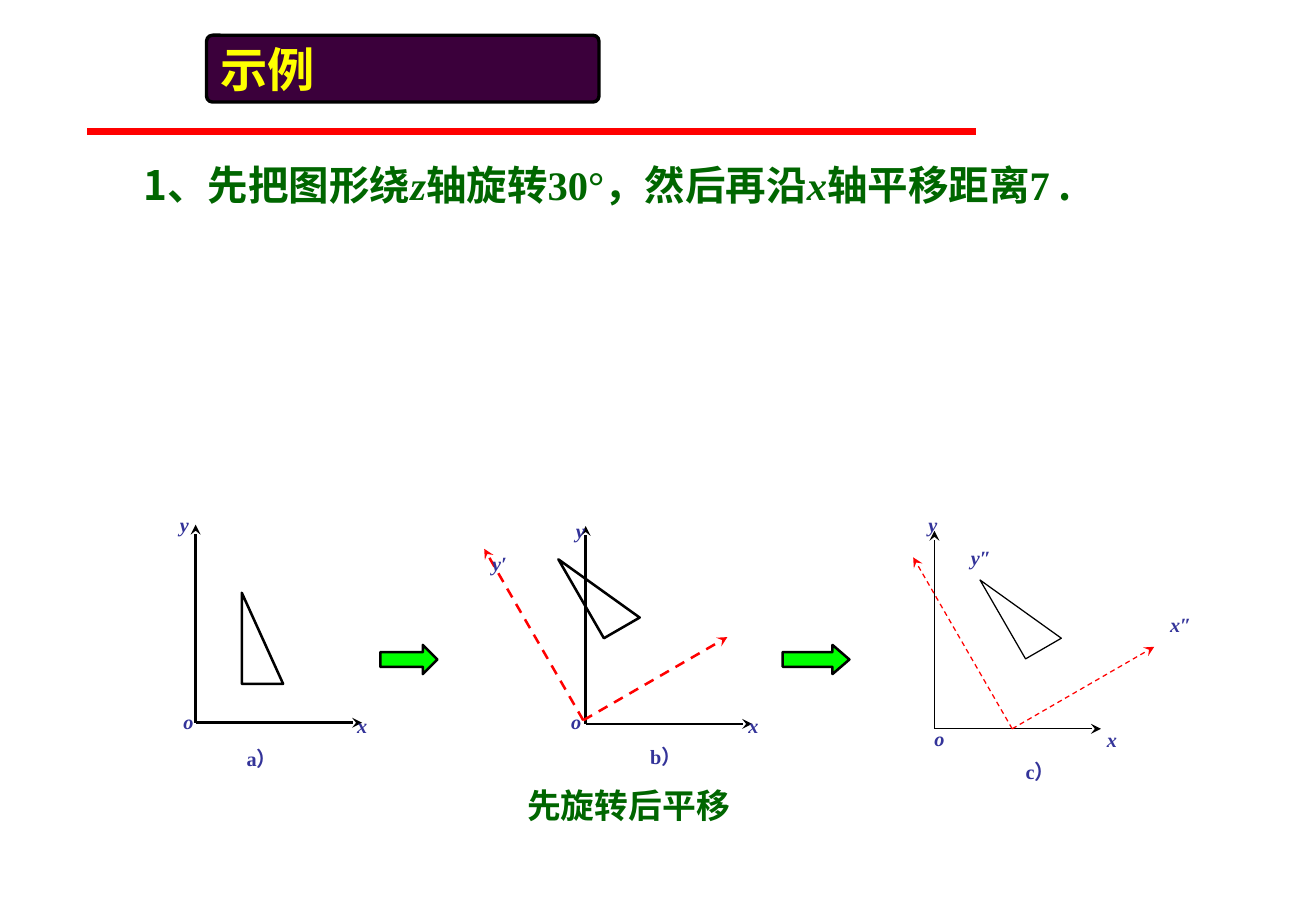
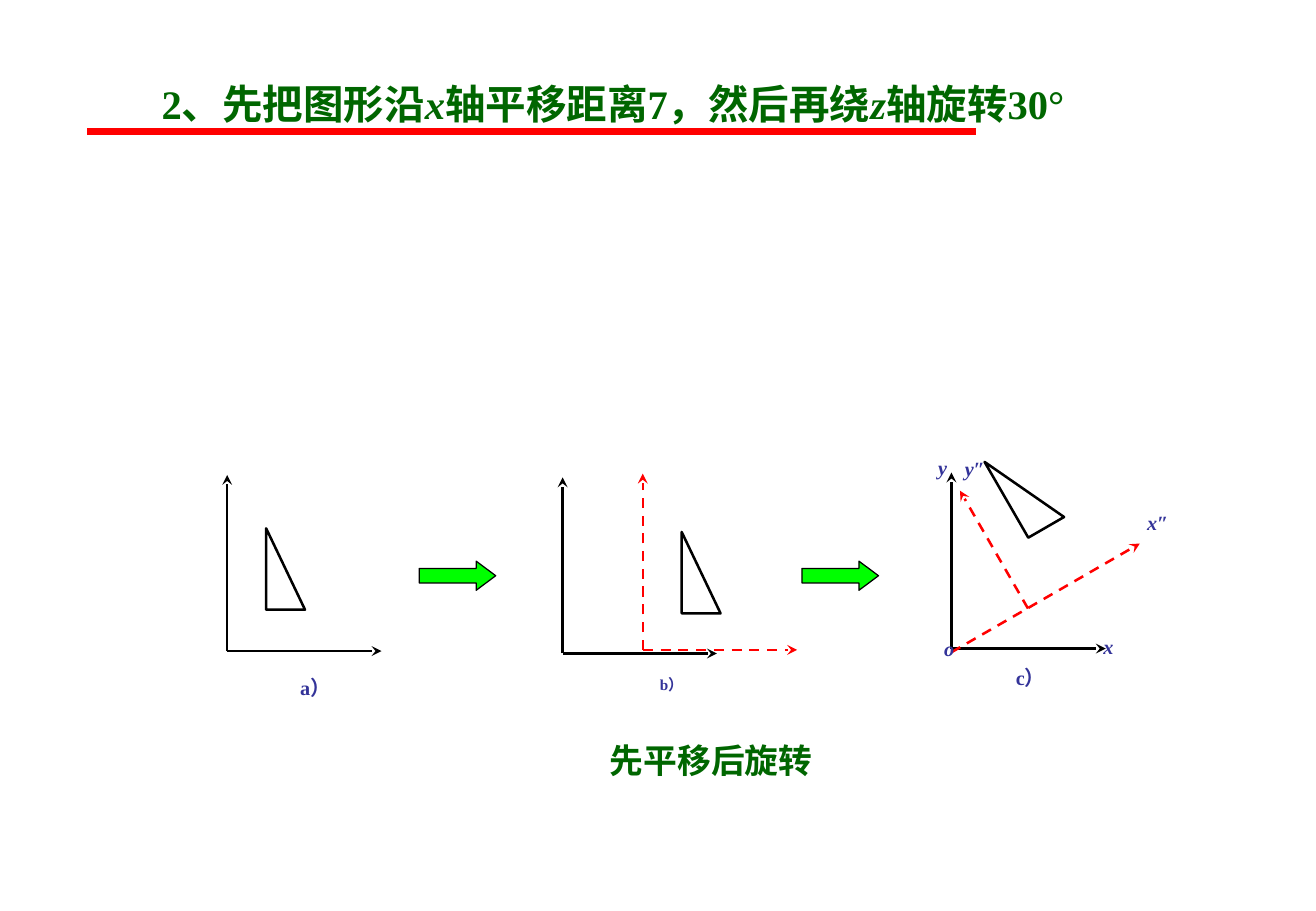
from math import cos, radians, sin

from lxml.etree import SubElement
from pptx import Presentation
from pptx.dml.color import RGBColor
from pptx.enum.dml import MSO_LINE
from pptx.enum.shapes import MSO_CONNECTOR, MSO_SHAPE
from pptx.enum.text import MSO_ANCHOR, PP_ALIGN
from pptx.oxml.ns import qn
from pptx.util import Inches, Pt

SANS, SERIF = "Noto Sans CJK SC", "Times New Roman"
BLACK, RED, LIME = "000000", "FF0000", "00FF00"
GREEN, INDIGO, PURPLE, YELLOW = "006600", "333399", "3B003B", "FFFF00"


def rgb(color):
    return RGBColor.from_string(color)


def style_paragraph(paragraph, size, color, font_name=SANS, italic=False):
    font = paragraph.font
    font.size, font.bold, font.italic = Pt(size), True, italic
    font.color.rgb = rgb(color)
    font.name = font_name
    defaults = paragraph._p.pPr.find(qn("a:defRPr"))
    SubElement(defaults, qn("a:ea")).set("typeface", SANS)


def style_shape(shape, fill, width):
    """Give a shape a flat fill (None for no fill) and a black outline."""
    shape.shadow.inherit = False
    if fill:
        shape.fill.solid()
        shape.fill.fore_color.rgb = rgb(fill)
    else:
        shape.fill.background()
    shape.line.color.rgb = rgb(BLACK)
    shape.line.width = Pt(width)


def add_line(slide, start, end, color, width):
    line = slide.shapes.add_connector(
        MSO_CONNECTOR.STRAIGHT, *(Inches(value) for value in (*start, *end)))
    line.line.color.rgb = rgb(color)
    line.line.width = Pt(width)
    SubElement(line.element.spPr, qn("a:effectLst"))
    return line


def add_axis(slide, start, length, angle, width, moved=False):
    """Draw an axis; the angle is in degrees, counterclockwise from the right."""
    x, y = start
    end = (x + length * cos(radians(angle)), y - length * sin(radians(angle)))
    axis = add_line(slide, start, end, RED if moved else BLACK, width)
    if moved:
        axis.line.dash_style = MSO_LINE.DASH
    SubElement(axis.line._get_or_add_ln(), qn("a:tailEnd")).set("type", "stealth")


def add_triangle(slide, left, top, size, angle, width):
    """Draw a right triangle turned counterclockwise about the middle of its box."""
    half_width, half_height = size[0] / 2, size[1] / 2
    cosine, sine = cos(radians(angle)), sin(radians(angle))
    corners = [(-half_width, -half_height), (-half_width, half_height),
               (half_width, half_height)]
    points = [(Inches(left + half_width + x * cosine + y * sine),
               Inches(top + half_height - x * sine + y * cosine))
              for x, y in corners]
    builder = slide.shapes.build_freeform(*points[0])
    builder.add_line_segments(points[1:], close=True)
    style_shape(builder.convert_to_shape(), None, width)


def add_label(slide, left, top, text, size=12):
    is_caption = text.endswith("）")
    box_width = 0.5 if is_caption else 0.13 * len(text)
    box = slide.shapes.add_textbox(
        Inches(left), Inches(top), Inches(box_width), Inches(0.3))
    frame = box.text_frame
    frame.word_wrap = True
    frame.margin_left = frame.margin_right = frame.margin_top = frame.margin_bottom = 0
    frame.text = text
    style_paragraph(frame.paragraphs[0], size, INDIGO, SERIF, not is_caption)


def add_panel(slide, origin, axis_lengths, triangle_size, triangle, labels,
              moved_axes=(), width=1.5):
    """Draw one coordinate system; all parts are offsets from its origin."""
    x, y = origin
    for length, angle in zip(axis_lengths, (0, 90)):
        add_axis(slide, origin, length, angle, width)
    for dx, dy, length, angle in moved_axes:
        add_axis(slide, (x + dx, y + dy), length, angle, width, moved=True)
    dx, dy, angle = triangle
    add_triangle(slide, x + dx, y + dy, triangle_size, angle, width)
    for dx, dy, *label in labels:
        add_label(slide, x + dx, y + dy, *label)


def add_block_arrow(slide, left, top, length, head, width):
    arrow = slide.shapes.add_shape(
        MSO_SHAPE.RIGHT_ARROW, Inches(left), Inches(top), Inches(length), Inches(0.24))
    arrow.adjustments[1] = head
    style_shape(arrow, LIME, width)


def add_heading(slide, box, runs, font_name, line_spacing=1.0):
    """Fill the title from (text, font) runs; axis names are italic."""
    title = slide.shapes.title
    title.left, title.top, title.width, title.height = map(Inches, box)
    frame = title.text_frame
    frame.vertical_anchor = MSO_ANCHOR.TOP
    paragraph = frame.paragraphs[0]
    paragraph.alignment = PP_ALIGN.LEFT
    paragraph.line_spacing = line_spacing
    style_paragraph(paragraph, 24, GREEN, font_name)
    for text, run_font in runs:
        run = paragraph.add_run()
        run.text = text
        if run_font != font_name:
            run.font.name = run_font
        if text in ("x", "z"):
            run.font.italic = True


def add_summary(slide, left, top, text):
    box = slide.shapes.add_textbox(Inches(left), Inches(top), Inches(2.4), Inches(0.4))
    box.text_frame.word_wrap = True
    box.text_frame.text = text
    style_paragraph(box.text_frame.paragraphs[0], 20, GREEN)


def add_badge(slide, left, top, text):
    badge = slide.shapes.add_shape(
        MSO_SHAPE.ROUNDED_RECTANGLE, Inches(left), Inches(top), Inches(3.23), Inches(0.55))
    badge.adjustments[0] = 0.09
    style_shape(badge, PURPLE, 2)
    badge.text_frame.text = text
    badge.text_frame.vertical_anchor = MSO_ANCHOR.MIDDLE
    paragraph = badge.text_frame.paragraphs[0]
    paragraph.alignment = PP_ALIGN.LEFT
    style_paragraph(paragraph, 28, YELLOW)


def add_rotate_first_slide(slide):
    add_heading(slide, (1.08, 1.07, 8.86, 0.71), [
        ("1、先把图形绕", SANS), ("z", SERIF), ("轴旋转", SANS), ("30°", SERIF),
        ("，然后再沿", SANS), ("x", SERIF), ("轴平移距离", SANS), ("7", SERIF),
        (" .", SANS)], SANS, 1.5)
    axes, triangle_size = (1.37, 1.63), (0.34, 0.75)
    add_panel(slide, (1.61, 5.95), axes, triangle_size, (0.38, -1.07, 0), [
        (0.42, 0.19, "a）"), (1.33, -0.08, "x"), (-0.13, -1.73, "y"),
        (-0.1, -0.11, "o")])
    add_panel(slide, (4.82, 5.96), axes, triangle_size, (-0.06, -1.49, 30), [
        (0.53, 0.17, "b）"), (1.34, -0.09, "x"), (-0.08, -1.69, "y"),
        (-0.12, -0.12, "o"), (-0.77, -1.42, "y′")],
        [(-0.02, -0.03, 1.37, 30), (-0.02, -0.03, 1.63, 120)])
    add_panel(slide, (7.69, 6), axes, triangle_size, (0.54, -1.36, 30), [
        (0.75, 0.25, "c）"), (1.42, -0.01, "x"), (-0.05, -1.78, "y"),
        (0, -0.02, "o"), (1.94, -0.96, "x″"), (0.3, -1.51, "y″")],
        [(0.64, 0, 1.35, 30), (0.64, 0, 1.63, 120)], 0.75)
    add_block_arrow(slide, 3.13, 5.31, 0.47, 0.5, 1.5)
    add_block_arrow(slide, 6.44, 5.31, 0.55, 0.58, 1.5)
    add_summary(slide, 4.24, 6.41, "先旋转后平移")
    add_badge(slide, 1.7, 0.29, "示例")


def add_move_first_slide(slide):
    add_heading(slide, (1.23, 0.6, 8.43, 0.5), [
        (text, SERIF) for text in
        ("2、先把图形沿", "x", "轴平移距离7，然后再绕", "z", "轴旋转30°")], SERIF)
    axes, triangle_size = (1.27, 1.45), (0.32, 0.67)
    add_panel(slide, (1.87, 5.36), axes, triangle_size, (0.32, -1.01, 0),
              [(0.6, 0.2, "a）")])
    add_panel(slide, (4.63, 5.38), axes, triangle_size, (0.98, -1, 0),
              [(0.8, 0.18, "b）", 9)],
              [(0.66, -0.03, 1.27, 0), (0.66, -0.03, 1.45, 90)])
    add_panel(slide, (7.83, 5.34), axes, (0.34, 0.72), (0.43, -1.67, 30), [
        (0.53, 0.14, "c）"), (1.25, -0.12, "x"), (-0.11, -1.59, "y"),
        (-0.06, -0.1, "o"), (1.61, -1.14, "x″"), (0.11, -1.58, "y″")],
        [(0, 0.03, 1.79, 30), (0.63, -0.33, 1.12, 120)])
    for left in (3.45, 6.6):
        add_block_arrow(slide, left, 4.62, 0.63, 0.67, 0.75)
    add_summary(slide, 4.92, 6.04, "先平移后旋转")


def main():
    presentation = Presentation()
    presentation.slide_width, presentation.slide_height = Inches(10.83), Inches(7.5)
    layout = presentation.slide_layouts.get_by_name("Title Only")
    rotate_first, move_first = (presentation.slides.add_slide(layout) for _ in range(2))
    rule = add_line(rotate_first, (0.72, 1.08), (8.03, 1.08), RED, 4)
    layout.shapes.element.append(rule.element)  # shared by every slide
    add_rotate_first_slide(rotate_first)
    add_move_first_slide(move_first)
    presentation.save("out.pptx")


if __name__ == "__main__":
    main()
